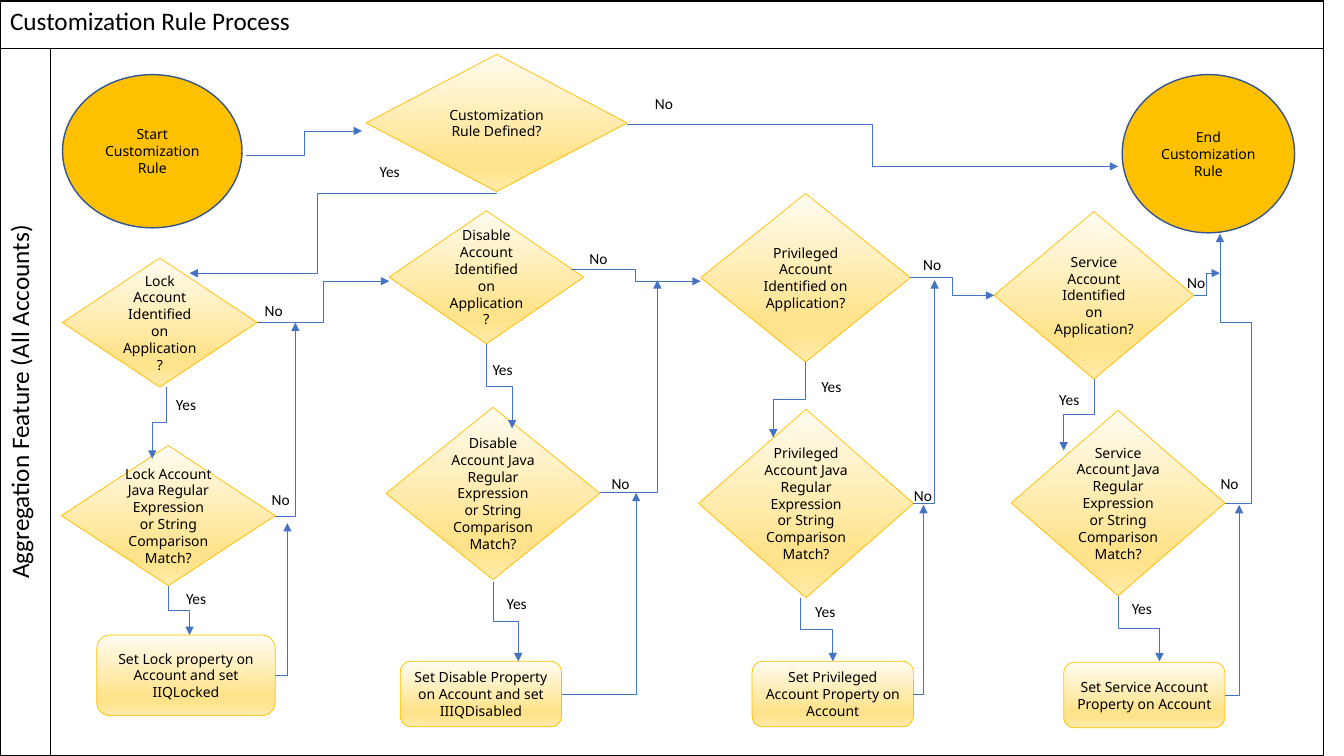
from lxml.etree import SubElement
from pptx import Presentation
from pptx.dml.color import RGBColor
from pptx.enum.shapes import MSO_CONNECTOR, MSO_SHAPE
from pptx.enum.text import MSO_ANCHOR, PP_ALIGN
from pptx.oxml.ns import qn
from pptx.util import Inches, Pt

GRID = Inches(0.1)
THEME = {
    "ink": RGBColor.from_string("000000"),
    "gold": RGBColor.from_string("FFC000"),
    "rim": RGBColor.from_string("325491"),
    "arrow": RGBColor.from_string("4472C4"),
    "glow": [(0, "FFFCF2"), (51, "FFEBAC"), (74, "FFE38C"), (83, "FFE38C"), (100, "FFEBAC")],
    "heading": {"name": "Calibri", "size": Pt(18), "bold": False},
    "step": {"name": "Noto Sans", "size": Pt(10)},
    "answer": {"name": "Calibri", "size": Pt(11)},
}


def cells(*counts):
    return [round(count * GRID) for count in counts]


def write(frame, lines, style, alignment=PP_ALIGN.CENTER):
    for name, value in {"word_wrap": True, "vertical_anchor": MSO_ANCHOR.MIDDLE}.items():
        setattr(frame, name, value)
    for index, line in enumerate(lines):
        para = frame.add_paragraph() if index else frame.paragraphs[0]
        para.alignment = alignment
        span = para.add_run()
        span.text = line
        span.font.color.rgb = THEME["ink"]
        for name, value in THEME[style].items():
            setattr(span.font, name, value)


deck = Presentation()
deck.slide_width, deck.slide_height = cells(133.3, 75)
page = deck.slides.add_slide(deck.slide_layouts[6])

table = page.shapes.add_table(2, 2, *cells(0, 0.1, 131.3, 74.9)).table
for name in ("first_row", "horz_banding"):
    setattr(table, name, False)
for column, width in zip(table.columns, cells(5, 126.3)):
    column.width = width
for row, height in zip(table.rows, cells(4.7, 70.2)):
    row.height = height
title, side = table.cell(0, 0), table.cell(1, 0)
title.merge(table.cell(0, 1))
write(title.text_frame, ["Customization Rule Process"], "heading", PP_ALIGN.LEFT)
write(side.text_frame, ["Aggregation Feature (All Accounts)"], "heading")
for cell in (title, side):
    cell.vertical_anchor = MSO_ANCHOR.TOP
for cell in table.iter_cells():
    properties = cell._tc.get_or_add_tcPr()
    for edge in ("a:lnL", "a:lnR", "a:lnT", "a:lnB"):
        border = SubElement(properties, qn(edge), w=str(Pt(1)))
        SubElement(SubElement(border, qn("a:solidFill")), qn("a:srgbClr"), val=str(THEME["ink"]))
    cell.fill.background()
side._tc.get_or_add_tcPr().set("vert", "vert270")

stages = [
    ("Lock", (6.2, 25.6, 19.3, 12.8), (6.1, 44.2, 21.2, 13.9), (9.6, 63, 17.7, 8),
     "Set Lock property on Account and set IIQLocked"),
    ("Disable", (38.6, 20.9, 19.3, 13.2), (38.3, 40.4, 21.2, 17.1), (39.7, 65.6, 16, 6.5),
     "Set Disable Property on Account and set IIIQDisabled"),
    ("Privileged", (69.5, 19.2, 20.8, 16.7), (69.3, 40.6, 21.3, 18.7), (74.6, 65.6, 16, 6.5),
     "Set Privileged Account Property on Account"),
    ("Service", (98.6, 21, 19.8, 16.6), (100.3, 40.7, 21.2, 18.4), (105.5, 65.7, 16, 6.5),
     "Set Service Account Property on Account"),
]
steps = [
    (MSO_SHAPE.OVAL, (6.2, 7.4, 17.8, 15.2), ["Start Customization", "Rule"]),
    (MSO_SHAPE.OVAL, (111.3, 7.4, 17.1, 15.7), ["End", "Customization", "Rule"]),
    (MSO_SHAPE.DIAMOND, (36.3, 5.4, 25.9, 13.6), ["Customization Rule Defined?"]),
]
for account, check, match, action, action_text in stages:
    steps += [
        (MSO_SHAPE.DIAMOND, check, [f"{account} Account Identified on Application?"]),
        (MSO_SHAPE.DIAMOND, match,
         [f"{account} Account Java Regular Expression or String Comparison Match?"]),
        (MSO_SHAPE.ROUNDED_RECTANGLE, action, [action_text]),
    ]

for outline, place, lines in steps:
    box = page.shapes.add_shape(outline, *cells(*place))
    box.shadow.inherit = False
    if outline == MSO_SHAPE.OVAL:
        box.fill.solid()
        box.fill.fore_color.rgb = THEME["gold"]
        box.line.color.rgb, box.line.width = THEME["rim"], Pt(1)
    else:
        box.fill.gradient()
        box.fill.gradient_angle = 270
        stops = box._element.spPr.find(qn("a:gradFill")).find(qn("a:gsLst"))
        for stop in list(stops):
            stops.remove(stop)
        for share, colour in THEME["glow"]:
            stop = SubElement(stops, qn("a:gs"), pos=str(share * 1000))
            SubElement(stop, qn("a:srgbClr"), val=colour)
        box.line.color.rgb, box.line.width = THEME["gold"], Pt(0.5)
    write(box.text_frame, lines, "step")

across = [
    (24.4, 15.4, 35.9, 13), (62.2, 12.3, 110.9, 16.5), (25.5, 32, 38.6, 27.9),
    (56.6, 26.7, 69.5, 27.9), (90.3, 27.5, 98.6, 29.3), (118.4, 29.3, 121, 27.1),
]
down = [
    (16.5, 38.4, 15.1, 45.5), (48.2, 34.1, 50.8, 42.5), (79.9, 35.9, 76.7, 43.4),
    (108.5, 37.6, 105.5, 44.7), (16.7, 58.1, 18.8, 63), (48.9, 57.7, 51.4, 65.6),
    (79.4, 59.3, 82.6, 65.6), (110.9, 59.1, 115, 65.6),
]
corner = [
    (27.3, 51.2, 29.3, 32), (59.5, 48.9, 65.2, 27.8), (90.6, 49.9, 92.7, 27.8),
    (27.3, 67, 28.5, 51.9), (55.7, 68.9, 63.1, 48.9), (90.6, 68.9, 91.6, 50.1),
    (121.5, 69, 122.9, 50.1),
]
routes = [
    ("bentConnector3", False, [], across),
    ("bentConnector3", True, [], down),
    ("bentConnector2", False, [], corner),
    ("bentConnector3", False, [("adj1", 58500)], [(49.3, 19.2, 18.8, 27.1)]),
    ("bentConnector4", False, [("adj1", -520600), ("adj2", 67200)], [(121.5, 49.9, 121, 23.2)]),
]
for bend, turned, adjustments, arrows in routes:
    for x1, y1, x2, y2 in arrows:
        if turned:
            middle_x, middle_y = (x1 + x2) / 2, (y1 + y2) / 2
            run, drop = (x2 - x1) / 2, (y2 - y1) / 2
            x1, y1, x2, y2 = middle_x - drop, middle_y + run, middle_x + drop, middle_y - run
        arrow = page.shapes.add_connector(MSO_CONNECTOR.ELBOW, *cells(x1, y1, x2, y2))
        arrow.line.color.rgb, arrow.line.width = THEME["arrow"], Pt(0.5)
        properties = arrow._element.spPr
        if turned:
            properties.find(qn("a:xfrm")).set("rot", "5400000")
        geometry = properties.find(qn("a:prstGeom"))
        geometry.set("prst", bend)
        for name, value in adjustments:
            SubElement(geometry.find(qn("a:avLst")), qn("a:gd"), name=name, fmla=f"val {value}")
        SubElement(properties.find(qn("a:ln")), qn("a:tailEnd"), type="triangle")
        SubElement(properties, qn("a:effectLst"))

answers = {
    "Yes": [(35.9, 14.8), (15.7, 37.9), (16.7, 57.2), (47.1, 34.4), (48.5, 57.7),
            (79.7, 36.1), (79.1, 58.5), (103.3, 37.4), (110.5, 58.2)],
    "No": [(63.1, 8.1), (24.4, 28.6), (25.1, 47.3), (56.6, 23.4), (58.8, 45.8),
           (89.7, 24), (88.8, 46.9), (115.9, 25.8), (119.2, 45.8)],
}
for answer, corners in answers.items():
    for left, top in corners:
        box = page.shapes.add_textbox(*cells(left, top, 5.5, 4.4))
        write(box.text_frame, [answer], "answer")

deck.save("out.pptx")
